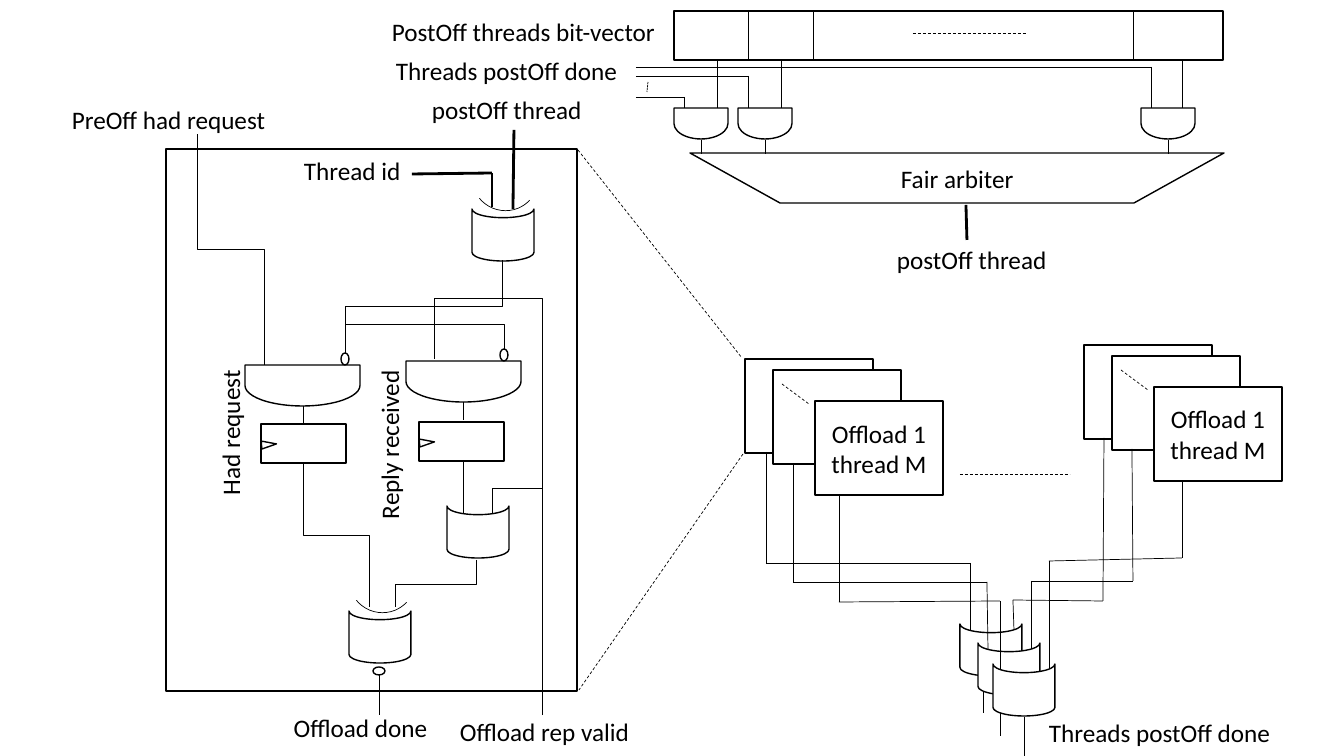
from dataclasses import dataclass
from typing import Optional

from lxml.etree import SubElement
from pptx import Presentation
from pptx.dml.color import RGBColor
from pptx.enum.dml import MSO_LINE
from pptx.enum.shapes import MSO_CONNECTOR, MSO_SHAPE
from pptx.enum.text import MSO_ANCHOR, MSO_AUTO_SIZE, PP_ALIGN
from pptx.oxml.ns import qn
from pptx.util import Emu, Pt

BLACK = RGBColor(0x00, 0x00, 0x00)
WHITE = RGBColor(0xFF, 0xFF, 0xFF)
FONT = "Calibri"
SCALE = 914400 / 100.8
Point = tuple[int, int]


@dataclass
class Wire:
    points: list[Point]
    weight: float = 0.5
    dash: Optional[MSO_LINE] = None


@dataclass
class Elbow:
    start: Point
    end: Point
    bend: int  # height of the horizontal run


@dataclass
class Label:
    text: str
    left: int
    top: int
    width: int
    height: int = 40
    turn: int = 0
    align: PP_ALIGN = PP_ALIGN.LEFT


def px(length: float) -> Emu:
    return Emu(round(length * SCALE))


deck = Presentation()
deck.slide_width, deck.slide_height = px(1344), px(756)
page = deck.slides.add_slide(deck.slide_layouts[6])


def upright_frame(left: int, top: int, width: int, height: int, turn: float) -> list[Emu]:
    """Frame before rotation of a part that covers the given area."""
    if turn in (90, 270):
        shift = (width - height) / 2
        left, top, width, height = left + shift, top - shift, height, width
    return [px(length) for length in (left, top, width, height)]


def add_part(kind: MSO_SHAPE, left: int, top: int, width: int, height: int,
             turn: float = 0, filled: bool = False, weight: float = 1):
    shape = page.shapes.add_shape(kind, *upright_frame(left, top, width, height, turn))
    shape.rotation = turn
    shape.shadow.inherit = False
    if filled:
        shape.fill.solid()
        shape.fill.fore_color.rgb = WHITE
    else:
        shape.fill.background()
    shape.line.color.rgb = BLACK
    shape.line.width = Pt(weight)
    return shape


def write(frame, text: str, align: PP_ALIGN) -> None:
    frame.word_wrap = True
    para = frame.paragraphs[0]
    para.alignment = align
    span = para.add_run()
    span.text = text
    span.font.name, span.font.size = FONT, Pt(18)
    span.font.color.rgb = BLACK


def add_label(label: Label) -> None:
    box = page.shapes.add_textbox(
        *upright_frame(label.left, label.top, label.width, label.height, label.turn))
    box.rotation = label.turn
    write(box.text_frame, label.text, label.align)
    box.text_frame.auto_size = MSO_AUTO_SIZE.SHAPE_TO_FIT_TEXT


def style_line(line, weight: float, dash: Optional[MSO_LINE] = None) -> None:
    line.line.color.rgb = BLACK
    line.line.width = Pt(weight)
    if dash is not None:
        line.line.dash_style = dash
    SubElement(line._element.spPr, qn("a:effectLst"))


def add_wire(wire: Wire) -> None:
    for (x1, y1), (x2, y2) in zip(wire.points, wire.points[1:]):
        line = page.shapes.add_connector(
            MSO_CONNECTOR.STRAIGHT, px(x1), px(y1), px(x2), px(y2))
        style_line(line, wire.weight, wire.dash)


def add_elbow(elbow: Elbow) -> None:
    """Leave vertically: a horizontal elbow turned by a quarter."""
    (x1, y1), (x2, y2) = elbow.start, elbow.end
    middle_x, middle_y = (x1 + x2) / 2, (y1 + y2) / 2
    half_x, half_y = (y2 - y1) / 2, (x1 - x2) / 2
    line = page.shapes.add_connector(
        MSO_CONNECTOR.ELBOW, px(middle_x - half_x), px(middle_y - half_y),
        px(middle_x + half_x), px(middle_y + half_y))
    properties = line._element.spPr
    properties.find(qn("a:xfrm")).set("rot", str(90 * 60000))
    ratio = round((elbow.bend - y1) / (y2 - y1) * 100000)
    guides = properties.find(qn("a:prstGeom")).find(qn("a:avLst"))
    SubElement(guides, qn("a:gd"), name="adj1", fmla=f"val {ratio}")
    style_line(line, 0.5)


def add_and_gate(left: int, top: int, width: int, height: int) -> None:
    add_part(MSO_SHAPE.FLOWCHART_DELAY, left, top, width, height, 90)


def add_or_gate(left: int, top: int, exclusive: bool = False, filled: bool = False) -> None:
    add_part(MSO_SHAPE.FLOWCHART_STORED_DATA, left, top, 62, 52, 270, filled)
    if exclusive:
        arc = add_part(MSO_SHAPE.ARC, left, top - 65, 66, 67, 127.4, weight=0.5)
        arc.adjustments[0], arc.adjustments[1] = 165.26, 8.18


def add_register(left: int, top: int) -> None:
    add_part(MSO_SHAPE.RECTANGLE, left, top, 85, 39)
    add_part(MSO_SHAPE.ISOSCELES_TRIANGLE, left + 4, top + 13, 8, 15, 85.6)


def add_card_stack(left: int, top: int) -> None:
    for index, (right, down) in enumerate([(0, 0), (28, 11), (70, 42)]):
        card = add_part(MSO_SHAPE.RECTANGLE, left + right, top + down, 128, 94,
                        filled=index > 0)
    card.text_frame.vertical_anchor = MSO_ANCHOR.MIDDLE
    write(card.text_frame, "Offload 1 thread M", PP_ALIGN.CENTER)
    add_wire(Wire([(left + 37, top + 25), (left + 64, top + 45)], dash=MSO_LINE.DASH))


# Outputs behind the merging gates
for x, top in [(1024, 717), (1000, 697), (983, 674)]:
    add_wire(Wire([(x, top), (x, top + 39)]))

# Detail panel of one offload thread
add_part(MSO_SHAPE.RECTANGLE, 166, 149, 411, 542)
for left, top in [(245, 365), (406, 361)]:
    add_and_gate(left, top, 115, 41)
for left, top in [(261, 424), (419, 422)]:
    add_register(left, top)
for left, top, exclusive in [(472, 209, True), (447, 506, False), (349, 611, True)]:
    add_or_gate(left, top, exclusive)
for left, top, width, height in [(341, 353, 8, 12), (500, 349, 8, 12), (373, 667, 12, 8)]:
    add_part(MSO_SHAPE.OVAL, left, top, width, height)
for elbow in [
    Elbow((197, 134), (264, 365), 249),
    Elbow((542, 715), (434, 359), 298),
    Elbow((345, 354), (504, 349), 324),
    Elbow((502, 260), (345, 354), 306),
    Elbow((492, 514), (542, 488), 488),
    Elbow((476, 560), (395, 607), 584),
    Elbow((303, 464), (369, 607), 535),
]:
    add_elbow(elbow)
for x, top, bottom in [(303, 406, 424), (463, 402, 420), (463, 462, 514), (379, 675, 715)]:
    add_wire(Wire([(x, top), (x, bottom)]))

# Bit-vector, its gates and the arbiter
add_part(MSO_SHAPE.RECTANGLE, 674, 11, 549, 49)
for x in (748, 813, 1133):
    add_wire(Wire([(x, 11), (x, 60)]))
for left, bit_x, done_x, done_y in [
        (674, 717, 684, 97), (738, 781, 748, 76), (1141, 1182, 1151, 67)]:
    add_and_gate(left, 108, 54, 31)
    add_wire(Wire([(bit_x, 60), (bit_x, 108)]))
    add_wire(Wire([(636, done_y), (done_x, done_y), (done_x, 108)]))
    add_wire(Wire([(left + 27, 140), (left + 27, 154)]))
arbiter = add_part(MSO_SHAPE.TRAPEZOID, 690, 153, 534, 50, 180)
arbiter.adjustments[0] = 1.8

# Offload stacks and merging gates
for left, top, filled in [(960, 624, False), (978, 643, True), (993, 664, True)]:
    add_or_gate(left, top, filled=filled)
for left, top in [(745, 359), (1084, 345)]:
    add_card_stack(left, top)
for points in [
    [(766, 452), (766, 563), (970, 563), (970, 630)],
    [(793, 463), (793, 582), (987, 582), (988, 649)],
    [(839, 496), (839, 602), (1000, 601), (1000, 669)],
    [(1104, 438), (1103, 601), (1013, 600), (1014, 630)],
    [(1132, 449), (1133, 581), (1031, 581), (1031, 649)],
    [(1182, 481), (1182, 558), (1049, 561), (1049, 669)],
]:
    add_wire(Wire(points))

# Dashed guides and ellipses
for points in [
    [(578, 150), (742, 358)], [(743, 454), (579, 690)],
    [(913, 33), (1026, 33)], [(960, 474), (1070, 474)],
]:
    add_wire(Wire(points, dash=MSO_LINE.DASH))
add_wire(Wire([(648, 82), (647, 92)], dash=MSO_LINE.SQUARE_DOT))

# Thread id buses
for points in [
    [(514, 130), (513, 209)], [(966, 205), (967, 240)],
    [(412, 174), (492, 173)], [(492, 173), (492, 207)],
]:
    add_wire(Wire(points, weight=2))

# Labels
for label in [
    Label("PreOff had request", 62, 99, 219),
    Label("Thread id", 294, 150, 183),
    Label("PostOff threads bit-vector", 382, 11, 349),
    Label("Threads postOff done", 386, 50, 250),
    Label("postOff thread", 422, 89, 183),
    Label("Fair arbiter", 891, 158, 150),
    Label("postOff thread", 887, 239, 183),
    Label("Had request", 210, 347, 40, 158, 270),
    Label("Reply received", 369, 338, 40, 191, 270),
    Label("Offload done", 258, 707, 205, align=PP_ALIGN.CENTER),
    Label("Offload rep valid", 442, 711, 205, align=PP_ALIGN.CENTER),
    Label("Threads postOff done", 1039, 712, 250),
]:
    add_label(label)

deck.save("out.pptx")
